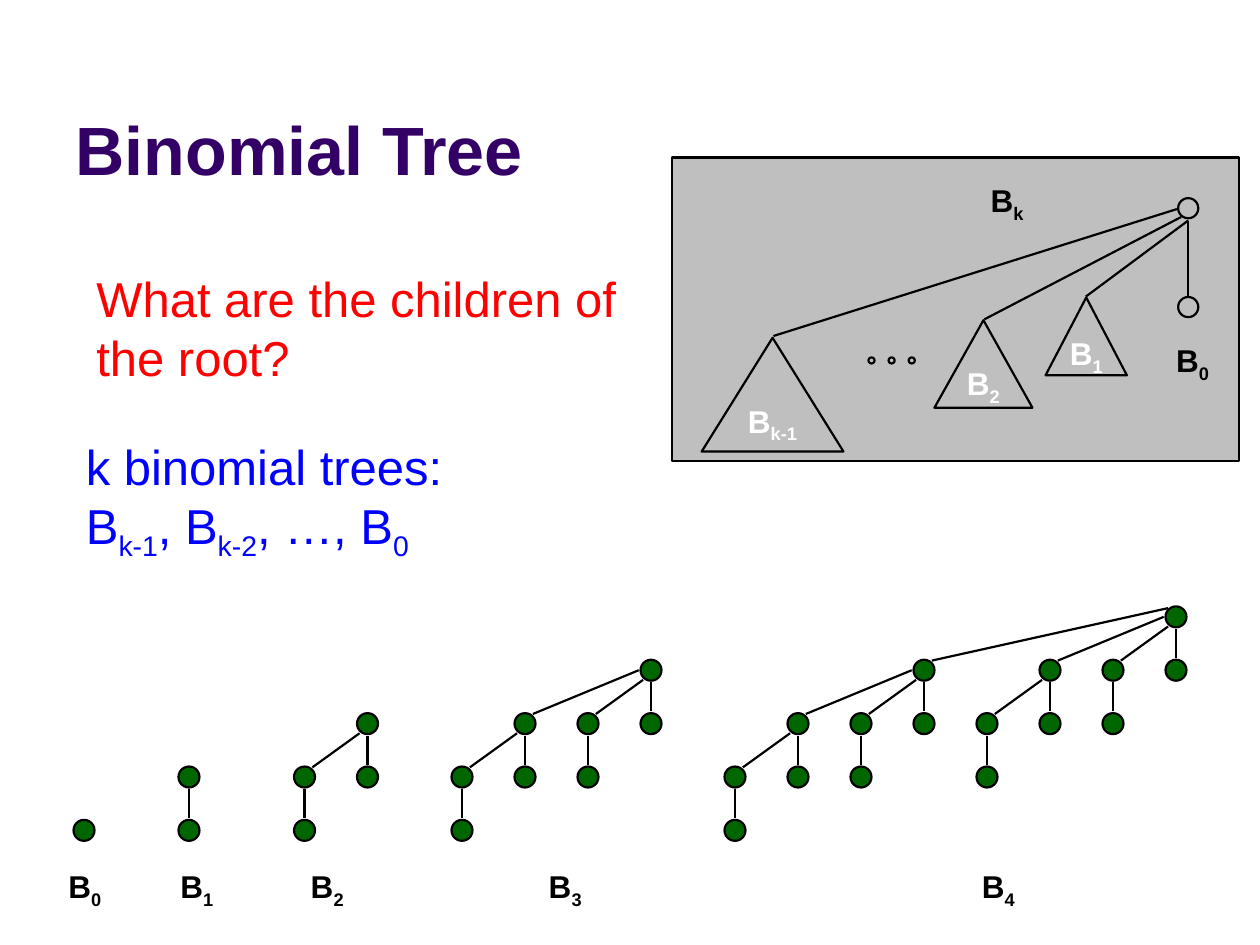
import pptx
import pptx.util
import pptx.dml.color
import pptx.enum.shapes
import pptx.enum.text
import pptx.oxml.ns
import lxml.etree

Pt = pptx.util.Pt
RGBColor = pptx.dml.color.RGBColor
SHAPE = pptx.enum.shapes.MSO_SHAPE
ALIGN = pptx.enum.text.PP_ALIGN
ANCHOR = pptx.enum.text.MSO_ANCHOR

BLACK = RGBColor(0x00, 0x00, 0x00)
WHITE = RGBColor(0xFF, 0xFF, 0xFF)
PURPLE = RGBColor(0x33, 0x00, 0x66)
RED = RGBColor(0xFF, 0x00, 0x00)
BLUE = RGBColor(0x00, 0x00, 0xFF)
GREEN = RGBColor(0x00, 0x66, 0x00)
GRAY = RGBColor(0xBF, 0xBF, 0xBF)

STEP_X, STEP_Y = 36, 30.5
NODE = 12
PARENT_ENDS = [(0, 7), (-4.5, 5.5), (-7, 0), (-4.5, -5)]
CHILD_ENDS = [(0, -7)] + [(4.5, -5.5)] * 3


class Builder:
    font = "Arial"
    line_width = 1.25

    def __init__(self, slide):
        self.slide = slide
        self.shapes = slide.shapes

    def start_group(self):
        self.shapes = self.slide.shapes.add_group_shape().shapes

    def style(self, r, size, color, bold):
        r.font.name = self.font
        r.font.size = Pt(size)
        r.font.bold = bold
        r.font.color.rgb = color

    def title(self, text, x, y, w, h):
        sp = self.slide.shapes.title
        sp.left, sp.top, sp.width, sp.height = Pt(x), Pt(y), Pt(w), Pt(h)
        tf = sp.text_frame
        tf.text = text
        tf.vertical_anchor = ANCHOR.BOTTOM
        p = tf.paragraphs[0]
        p.alignment = ALIGN.LEFT
        self.style(p.runs[0], 39, PURPLE, True)

    def add_runs(self, p, parts, size, color, bold):
        for i, part in enumerate(parts):
            r = p.add_run()
            r.text = part
            self.style(r, size, color, bold)
            if i % 2:
                r._r.get_or_add_rPr().set("baseline", "-25000")

    def text(self, x, y, w, h, lines, color):
        tf = self.shapes.add_textbox(Pt(x), Pt(y), Pt(w), Pt(h)).text_frame
        tf.word_wrap = True
        for i, parts in enumerate(lines):
            p = tf.add_paragraph() if i else tf.paragraphs[0]
            self.add_runs(p, parts, 28, color, False)

    def label(self, cx, y, sub, w=50):
        sp = self.shapes.add_textbox(Pt(cx - w / 2), Pt(y), Pt(w), Pt(29))
        sp.text_frame.word_wrap = True
        p = sp.text_frame.paragraphs[0]
        p.alignment = ALIGN.CENTER
        self.add_runs(p, ["B", sub], 18, BLACK, True)

    def shape(self, kind, x, y, w, h, fill):
        sp = self.shapes.add_shape(kind, Pt(x), Pt(y), Pt(w), Pt(h))
        sp.shadow.inherit = False
        sp.fill.solid()
        sp.fill.fore_color.rgb = fill
        sp.line.color.rgb = BLACK
        sp.line.width = Pt(self.line_width)
        return sp

    def circle(self, cx, cy, d, fill):
        self.shape(SHAPE.OVAL, cx - d / 2, cy - d / 2, d, d, fill)

    def triangle(self, x, y, w, h, sub):
        tf = self.shape(SHAPE.ISOSCELES_TRIANGLE, x, y, w, h, GRAY).text_frame
        tf.word_wrap = False
        tf.vertical_anchor = ANCHOR.MIDDLE
        p = tf.paragraphs[0]
        p.alignment = ALIGN.CENTER
        self.add_runs(p, ["B", sub], 18, WHITE, True)

    def line(self, x1, y1, x2, y2):
        c = self.shapes.add_connector(
            pptx.enum.shapes.MSO_CONNECTOR.STRAIGHT, Pt(x1), Pt(y1), Pt(x2), Pt(y2))
        c.line.color.rgb = BLACK
        c.line.width = Pt(self.line_width)
        lxml.etree.SubElement(c._element.spPr, pptx.oxml.ns.qn("a:effectLst"))

    def tree(self, order, x, y):
        self.circle(x, y, NODE, GREEN)
        for k in range(order):
            child_x = x - STEP_X * (2 ** k // 2)
            child_y = y + STEP_Y
            self.tree(k, child_x, child_y)
            (px, py), (dx, dy) = PARENT_ENDS[k], CHILD_ENDS[k]
            self.line(child_x + dx, child_y + dy, x + px, y + py)


def main():
    prs = pptx.Presentation()
    prs.slide_width, prs.slide_height = Pt(720), Pt(540)
    b = Builder(prs.slides.add_slide(prs.slide_layouts[5]))

    b.title("Binomial Tree", 36, 9.5, 594, 102)
    roots = [48, 108, 210, 372, 672]
    label_centers = [48.5, 112.5, 187, 323, 570.5]
    for order, (root_x, label_x) in enumerate(zip(roots, label_centers)):
        b.tree(order, root_x, 474.5 - STEP_Y * order)
        b.label(label_x, 492, str(order))

    b.text(48, 150, 312, 75, [["What are the children of the root?"]], RED)
    b.text(42, 246, 294, 75, [
        ["k binomial trees:"],
        ["B", "k-1", ", B", "k-2", ", …, B", "0"],
    ], BLUE)

    b.start_group()
    b.shape(SHAPE.RECTANGLE, 384, 90, 324, 173.5, GRAY)
    b.triangle(597.5, 170, 46.5, 44.5, "1")
    b.triangle(401, 193, 81, 65, "k-1")
    b.triangle(534, 183, 56, 50, "2")
    for x1, y1, x2, y2 in [
        (679, 126, 620.5, 169.5),
        (675, 124, 562.5, 182.5),
        (672.5, 119.5, 442, 192),
        (679, 126, 679, 169.5),
    ]:
        b.line(x1, y1, x2, y2)
    for i in range(3):
        b.circle(498 + 11.5 * i, 206, 3.5, GRAY)
    for y in (119, 175.5):
        b.circle(679, y, 11.5, GRAY)
    b.label(575.5, 100, "k")
    b.label(681.5, 191.5, "0", 42.5)

    prs.save("out.pptx")


if __name__ == "__main__":
    main()
